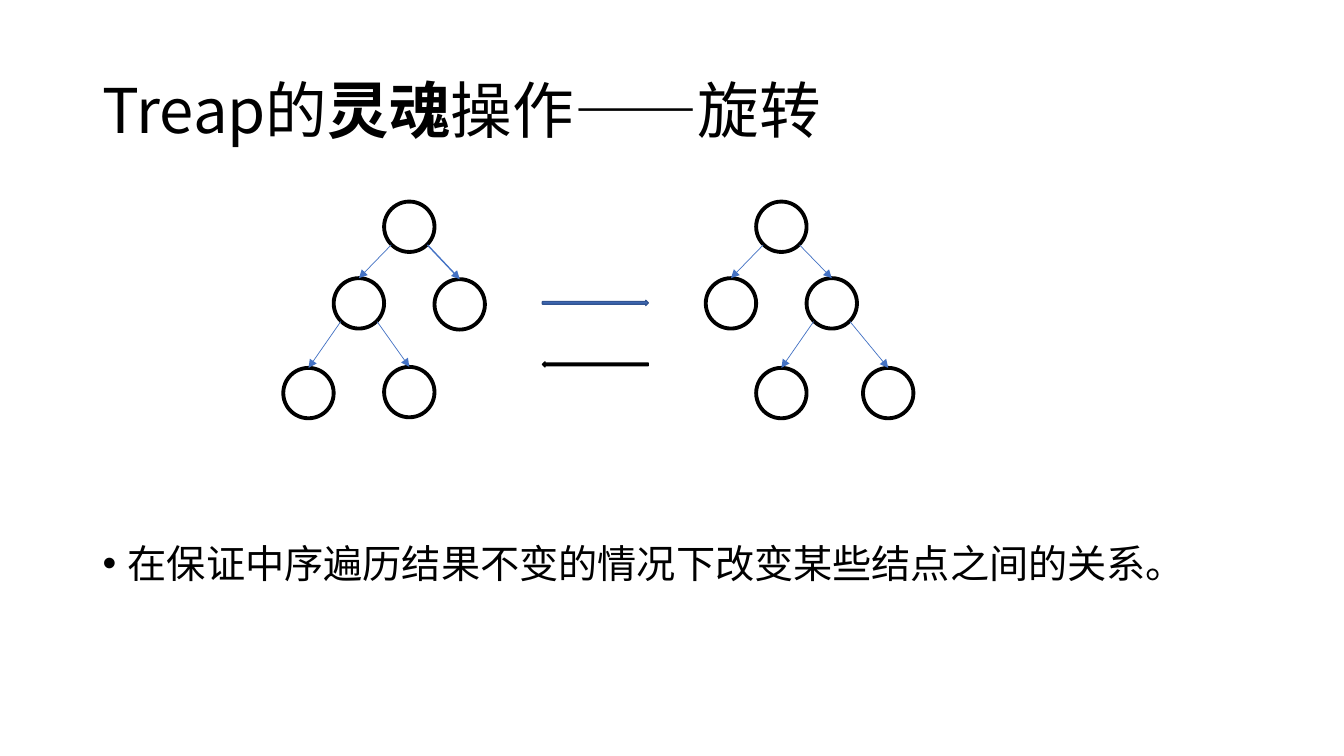
from dataclasses import dataclass
from typing import NamedTuple

from lxml import etree
from pptx import Presentation
from pptx.dml.color import RGBColor
from pptx.enum.shapes import MSO_CONNECTOR, MSO_SHAPE
from pptx.enum.text import MSO_ANCHOR, MSO_AUTO_SIZE, PP_ALIGN
from pptx.oxml.ns import qn
from pptx.util import Emu, Pt

PX = 9144  # 100 px to the inch
NODE = 50
RIM = round(NODE / 2 * 0.707)  # edges leave a node at 45 degrees
TITLE_ONLY = 5
OVAL = MSO_SHAPE.OVAL
RIGHT, LEFT = MSO_SHAPE.RIGHT_ARROW, MSO_SHAPE.LEFT_ARROW
STRAIGHT = MSO_CONNECTOR.STRAIGHT


@dataclass(frozen=True)
class Theme:
    font: str = "Noto Sans CJK SC"
    black: RGBColor = RGBColor(0, 0, 0)
    blue: RGBColor = RGBColor(0x44, 0x72, 0xC4)
    dark_blue: RGBColor = RGBColor(0x32, 0x54, 0x91)
    title_size: int = 44
    body_size: int = 28
    node_line: float = 2.75


class Node(NamedTuple):
    x: int
    y: int


class Edge(NamedTuple):
    parent: int
    child: int
    width: float = 0.5


class Tree(NamedTuple):
    nodes: list[Node]
    edges: list[Edge]


class Rotation(NamedTuple):
    shape: MSO_SHAPE
    y: int
    fill: RGBColor
    line: RGBColor


class Words(NamedTuple):
    text: str
    bold: bool = False


THEME = Theme()
TITLE = [Words("Treap的"), Words("灵魂", True), Words("操作——旋转")]
BODY = [Words("在保证中序遍历结果不变的情况下改变某些结点之间的关系。")]
TREES = [
    Tree([Node(381, 200), Node(331, 276), Node(431, 277), Node(281, 365), Node(381, 364)],
         [Edge(0, 1), Edge(0, 2, 1), Edge(1, 3), Edge(1, 4)]),
    Tree([Node(750, 200), Node(700, 276), Node(800, 276), Node(750, 365), Node(856, 365)],
         [Edge(0, 1), Edge(0, 2), Edge(2, 3), Edge(2, 4)]),
]
ROTATIONS = [
    Rotation(RIGHT, 298, THEME.blue, THEME.dark_blue),
    Rotation(LEFT, 359, THEME.black, THEME.black),
]


def px(*lengths: int) -> list[Emu]:
    return [Emu(n * PX) for n in lengths]


def write(p, words: list[Words], size: int) -> None:
    p.alignment = PP_ALIGN.LEFT
    p.line_spacing = 0.9
    for part in words:
        r = p.add_run()
        r.text = part.text
        r.font.name, r.font.size, r.font.bold = THEME.font, Pt(size), part.bold
        r.font.color.rgb = THEME.black
        etree.SubElement(r.font._element, qn("a:ea"), typeface=THEME.font)


def add_title(s) -> None:
    sp = s.shapes.title
    sp.left, sp.top, sp.width, sp.height = px(92, 40, 1150, 145)
    tf = sp.text_frame
    tf.auto_size = MSO_AUTO_SIZE.NONE
    tf.vertical_anchor = MSO_ANCHOR.MIDDLE
    write(tf.paragraphs[0], TITLE, THEME.title_size)


def add_body(s) -> None:
    tf = s.shapes.add_textbox(*px(92, 535, 1150, 141)).text_frame
    tf.word_wrap = True
    p = tf.paragraphs[0]
    pPr = p._p.get_or_add_pPr()
    indent = 25 * PX
    pPr.set("marL", str(indent))
    pPr.set("indent", str(-indent))
    etree.SubElement(pPr, qn("a:buFont"), typeface="Arial")
    etree.SubElement(pPr, qn("a:buChar"), char="•")
    write(p, BODY, THEME.body_size)


def add_node(s, node: Node) -> None:
    sp = s.shapes.add_shape(OVAL, *px(node.x, node.y, NODE, NODE))
    sp.shadow.inherit = False
    sp.fill.background()
    sp.line.color.rgb = THEME.black
    sp.line.width = Pt(THEME.node_line)


def add_edge(s, parent: Node, child: Node, width: float) -> None:
    """Arrow from the lower rim of the parent to the top of the child."""
    half = NODE // 2
    side = RIM if child.x > parent.x else -RIM
    cn = s.shapes.add_connector(STRAIGHT, *px(
        parent.x + half + side, parent.y + half + RIM, child.x + half, child.y))
    cn.line.color.rgb = THEME.blue
    cn.line.width = Pt(width)
    etree.SubElement(cn.line._get_or_add_ln(), qn("a:tailEnd"), type="triangle")
    etree.SubElement(cn._element.spPr, qn("a:effectLst"))


def add_tree(s, tree: Tree) -> None:
    for node in tree.nodes:
        add_node(s, node)
    for edge in tree.edges:
        add_edge(s, tree.nodes[edge.parent], tree.nodes[edge.child], edge.width)


def add_rotation(s, rotation: Rotation) -> None:
    sp = s.shapes.add_shape(rotation.shape, *px(538, rotation.y, 105, 5))
    sp.shadow.inherit = False
    sp.fill.solid()
    sp.fill.fore_color.rgb = rotation.fill
    sp.line.color.rgb = rotation.line
    sp.line.width = Pt(1)


def main() -> None:
    prs = Presentation()
    prs.slide_width, prs.slide_height = px(1333, 750)
    s = prs.slides.add_slide(prs.slide_layouts[TITLE_ONLY])
    add_title(s)
    add_body(s)
    for tree in TREES:
        add_tree(s, tree)
    for rotation in ROTATIONS:
        add_rotation(s, rotation)
    prs.save("out.pptx")


if __name__ == "__main__":
    main()
